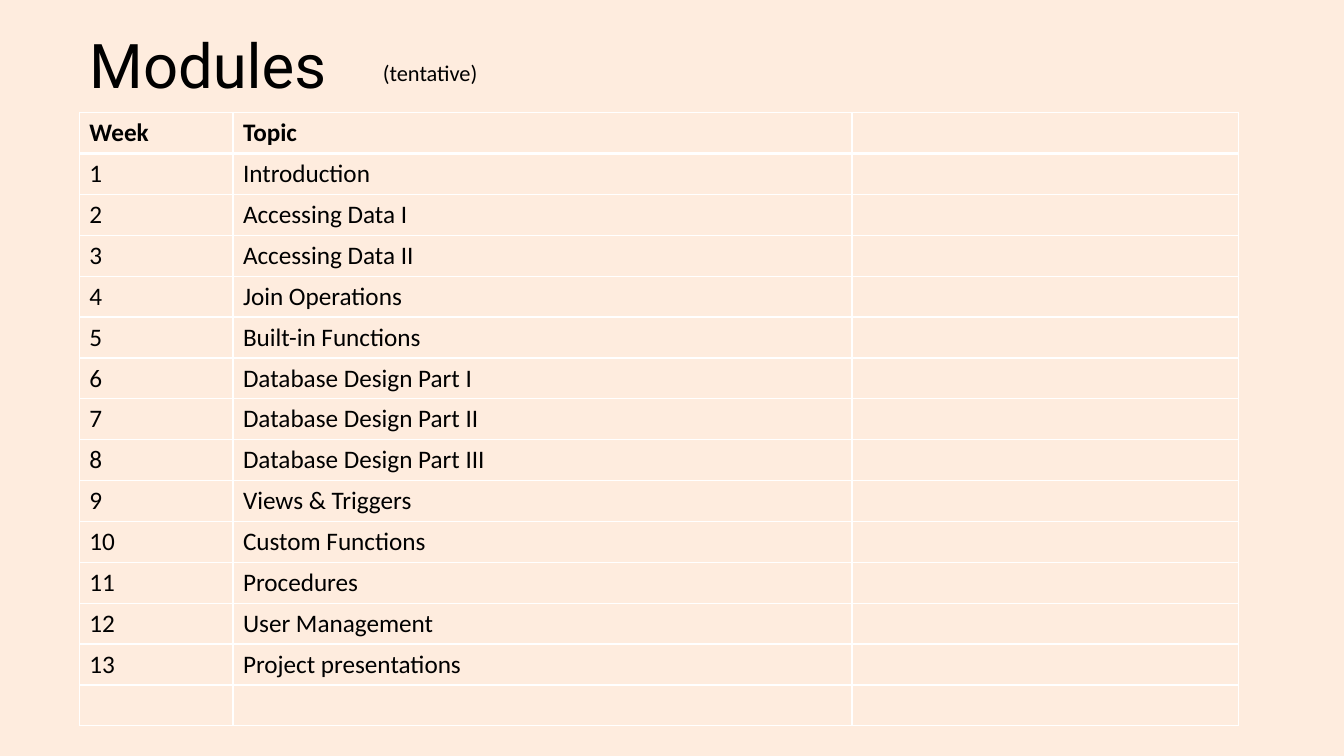
"""Build the course modules slide with its weekly schedule table."""
import pptx
import pptx.dml.color
import pptx.enum.text
import pptx.oxml
import pptx.oxml.ns
import pptx.util

Cm = pptx.util.Cm
Pt = pptx.util.Pt

TOPICS = [
    "Introduction",
    "Accessing Data I",
    "Accessing Data II",
    "Join Operations",
    "Built-in Functions",
    "Database Design Part I",
    "Database Design Part II",
    "Database Design Part III",
    "Views & Triggers",
    "Custom Functions",
    "Procedures",
    "User Management",
    "Project presentations",
]


def color(hex_string):
    """Turn a hex string into a colour."""
    return pptx.dml.color.RGBColor.from_string(hex_string)


class ModulesSlide:
    """Hold the style and the current slide."""

    background = "FEECDE"
    ink = "000000"
    rule = "FFFFFF"
    body_font = "Calibri"
    title_font = "Roboto"

    def __init__(self, presentation):
        """Add a blank slide with the background colour."""
        self.slide = presentation.slides.add_slide(presentation.slide_layouts[6])
        fill = self.slide.background.fill
        fill.solid()
        fill.fore_color.rgb = color(self.background)

    def style(self, paragraph, size, font_name, bold=False):
        """Set the font of a paragraph."""
        font = paragraph.font
        font.size = Pt(size)
        font.name = font_name
        font.bold = bold
        font.color.rgb = color(self.ink)

    def text(self, wording, left, top, width, height, size, font_name):
        """Add one vertically centred line of text."""
        box = self.slide.shapes.add_textbox(Cm(left), Cm(top), Cm(width), Cm(height))
        frame = box.text_frame
        frame.word_wrap = True
        frame.vertical_anchor = pptx.enum.text.MSO_ANCHOR.MIDDLE
        paragraph = frame.paragraphs[0]
        paragraph.text = wording
        paragraph.line_spacing = 0.9
        self.style(paragraph, size, font_name)

    def border(self, cell, side, points):
        """Draw one side of a cell."""
        line = pptx.oxml.parse_xml(
            f'<a:ln{side} {pptx.oxml.ns.nsdecls("a")} w="{Pt(points)}">'
            f'<a:solidFill><a:srgbClr val="{self.rule}"/></a:solidFill></a:ln{side}>'
        )
        cell._tc.get_or_add_tcPr().append(line)

    def table(self, rows, left, top, column_widths, row_height):
        """Add a ruled table with a bold header row."""
        table = self.slide.shapes.add_table(
            len(rows), len(column_widths), Cm(left), Cm(top),
            Cm(sum(column_widths)), Cm(row_height * len(rows)),
        ).table
        table.horz_banding = False
        table.first_row = False
        for column, width in zip(table.columns, column_widths):
            column.width = Cm(width)
        for row_index, wordings in enumerate(rows):
            table.rows[row_index].height = Cm(row_height)
            for column_index, wording in enumerate(wordings):
                cell = table.cell(row_index, column_index)
                for side in "LRTB":
                    under_header = (row_index, side) in ((0, "B"), (1, "T"))
                    self.border(cell, side, 3 if under_header else 1)
                cell.fill.background()
                paragraph = cell.text_frame.paragraphs[0]
                if wording:
                    paragraph.text = wording
                self.style(paragraph, 18, self.body_font, bold=row_index == 0)


def main():
    """Build and save the presentation."""
    presentation = pptx.Presentation()
    presentation.slide_width = Cm(33.87)
    presentation.slide_height = Cm(19.05)

    modules = ModulesSlide(presentation)
    modules.text("Modules", 2, 0.63, 29.21, 2.21, 44, modules.title_font)
    weeks = [(str(week), topic, "") for week, topic in enumerate(TOPICS, 1)]
    schedule = [("Week", "Topic", ""), *weeks, ("", "", "")]
    modules.table(schedule, 2, 2.84, (3.87, 15.6, 9.74), 1.03)
    modules.text("(tentative)", 9.4, 0.76, 6.32, 2.21, 16, modules.body_font)

    presentation.save("out.pptx")


if __name__ == "__main__":
    main()
